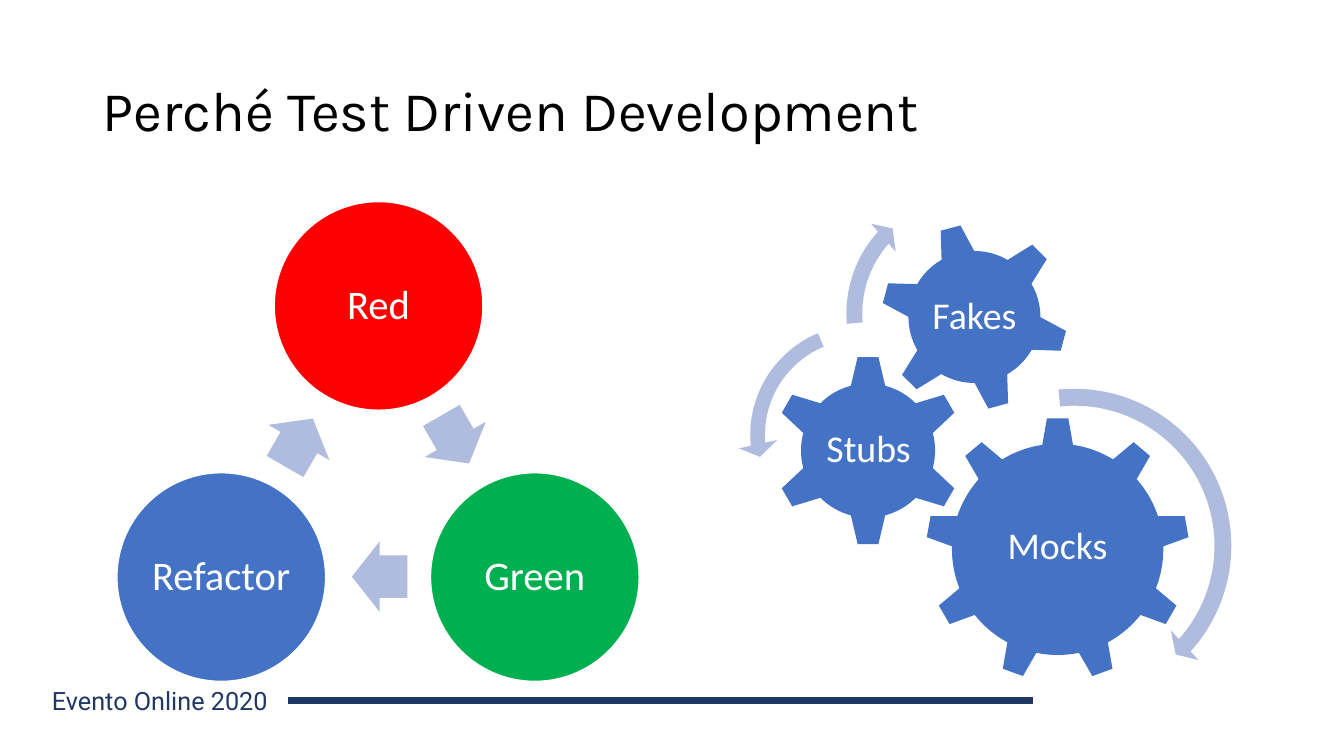
from dataclasses import dataclass

from lxml import etree
from pptx import Presentation
from pptx.dml.color import RGBColor
from pptx.enum.shapes import MSO_CONNECTOR, MSO_SHAPE
from pptx.enum.text import MSO_ANCHOR, PP_ALIGN
from pptx.oxml.ns import qn
from pptx.shapes.autoshape import Shape
from pptx.slide import Slide
from pptx.util import Emu, Pt

OVAL = MSO_SHAPE.OVAL
RIGHT_ARROW = MSO_SHAPE.RIGHT_ARROW
GEAR_6 = MSO_SHAPE.GEAR_6
GEAR_9 = MSO_SHAPE.GEAR_9
CIRCULAR_ARROW = MSO_SHAPE.CIRCULAR_ARROW
LEFT_CIRCULAR_ARROW = MSO_SHAPE.LEFT_CIRCULAR_ARROW
STRAIGHT = MSO_CONNECTOR.STRAIGHT
LEFT, CENTER = PP_ALIGN.LEFT, PP_ALIGN.CENTER
TOP, MIDDLE = MSO_ANCHOR.TOP, MSO_ANCHOR.MIDDLE

EMU_PER_PX = 9144  # 100 px to the inch
COLORS = {
    "black": "000000",
    "white": "FFFFFF",
    "navy": "203864",
    "red": "FF0000",
    "green": "00B050",
    "blue": "4472C4",
    "arrow": "B0BCDE",
}
CIRCLE_SIZE = 207
DIAGRAM_INSET = 4


@dataclass(frozen=True)
class Box:
    left: int
    top: int
    width: int
    height: int


@dataclass(frozen=True)
class TextStyle:
    font: str
    size: int
    color: str
    align: PP_ALIGN = CENTER
    anchor: MSO_ANCHOR = MIDDLE
    inset: int = DIAGRAM_INSET
    line_spacing: float = 0.9


@dataclass(frozen=True)
class CycleStep:
    label: str
    color: str
    left: int
    top: int
    arrow_left: int
    arrow_top: int


@dataclass(frozen=True)
class Gear:
    label: str
    kind: MSO_SHAPE
    box: Box
    label_box: Box
    rotation: int = 0


@dataclass(frozen=True)
class TurnArrow:
    kind: MSO_SHAPE
    box: Box
    adjustments: tuple[float, ...]


TITLE_STYLE = TextStyle("Karla", 40, "black", align=LEFT, inset=10)
FOOTER_STYLE = TextStyle("Roboto", 18, "navy", anchor=TOP, inset=10, line_spacing=1.0)
STEP_STYLE = TextStyle("Calibri", 29, "white")
GEAR_STYLE = TextStyle("Calibri", 27, "white")

CYCLE_STEPS = [
    CycleStep("Red", "red", 272, 200, 424, 401),
    CycleStep("Green", "green", 427, 469, 349, 537),
    CycleStep("Refactor", "blue", 116, 469, 269, 404),
]
GEARS = [
    Gear("Mocks", GEAR_9, Box(918, 414, 262, 262), Box(971, 475, 156, 135)),
    Gear("Stubs", GEAR_6, Box(766, 352, 190, 190), Box(814, 400, 95, 94)),
    Gear("Fakes", GEAR_6, Box(873, 221, 187, 187), Box(914, 262, 105, 105), 345),
]
TURN_ARROWS = [
    TurnArrow(CIRCULAR_ARROW, Box(898, 374, 335, 335), (0.05, 2.99, 25.2, 158.53, 0.06)),
    TurnArrow(LEFT_CIRCULAR_ARROW, Box(732, 310, 243, 243), (0.06, 4.3, 104.89, 148.38, 0.08)),
    TurnArrow(CIRCULAR_ARROW, Box(829, 180, 262, 262), (0.06, 3.94, 133.14, 105.08, 0.07)),
]


def px(length: int) -> Emu:
    return Emu(length * EMU_PER_PX)


def place(box: Box) -> tuple[Emu, Emu, Emu, Emu]:
    return px(box.left), px(box.top), px(box.width), px(box.height)


def rgb(name: str) -> RGBColor:
    return RGBColor.from_string(COLORS[name])


def write_text(shape: Shape, text: str, style: TextStyle) -> None:
    frame = shape.text_frame
    frame.word_wrap = True
    frame.vertical_anchor = style.anchor
    frame.margin_left = frame.margin_right = px(style.inset)
    frame.margin_top = frame.margin_bottom = px(min(style.inset, 5))
    paragraph = frame.paragraphs[0]
    paragraph.text = text
    paragraph.alignment = style.align
    paragraph.line_spacing = style.line_spacing
    paragraph.font.name = style.font
    paragraph.font.size = Pt(style.size)
    paragraph.font.color.rgb = rgb(style.color)


def add_text(slide: Slide, text: str, box: Box, style: TextStyle) -> None:
    write_text(slide.shapes.add_textbox(*place(box)), text, style)


def add_filled_shape(
    slide: Slide, kind: MSO_SHAPE, box: Box, color: str, rotation: int = 0
) -> Shape:
    shape = slide.shapes.add_shape(kind, *place(box))
    shape.shadow.inherit = False
    shape.fill.solid()
    shape.fill.fore_color.rgb = rgb(color)
    shape.line.fill.background()
    shape.rotation = rotation
    return shape


def add_footer(slide: Slide) -> None:
    rule = slide.shapes.add_connector(STRAIGHT, px(286), px(695), px(1025), px(695))
    rule.line.color.rgb = rgb("navy")
    rule.line.width = Pt(4.5)
    etree.SubElement(rule._element.spPr, qn("a:effectLst"))
    add_text(slide, "Evento Online 2020", Box(31, 675, 255, 40), FOOTER_STYLE)


def add_cycle(slide: Slide) -> None:
    for index, step in enumerate(CYCLE_STEPS):
        circle_box = Box(step.left, step.top, CIRCLE_SIZE, CIRCLE_SIZE)
        circle = add_filled_shape(slide, OVAL, circle_box, step.color)
        circle.line.color.rgb = rgb("white")
        circle.line.width = Pt(1)
        write_text(circle, step.label, STEP_STYLE)
        arrow_box = Box(step.arrow_left, step.arrow_top, 55, 70)
        arrow = add_filled_shape(slide, RIGHT_ARROW, arrow_box, "arrow", 60 + 120 * index)
        arrow.adjustments[0] = 0.6


def add_gears(slide: Slide) -> None:
    for gear in GEARS:
        add_filled_shape(slide, gear.kind, gear.box, "blue", gear.rotation)
        add_text(slide, gear.label, gear.label_box, GEAR_STYLE)
    for turn in TURN_ARROWS:
        arrow = add_filled_shape(slide, turn.kind, turn.box, "arrow")
        for index, value in enumerate(turn.adjustments):
            arrow.adjustments[index] = value


def main() -> None:
    presentation = Presentation()
    presentation.slide_width = px(1333)
    presentation.slide_height = px(750)
    slide = presentation.slides.add_slide(presentation.slide_layouts[6])
    add_footer(slide)
    add_text(slide, "Perché Test Driven Development", Box(92, 40, 1150, 145), TITLE_STYLE)
    add_cycle(slide)
    add_gears(slide)
    presentation.save("out.pptx")


if __name__ == "__main__":
    main()
